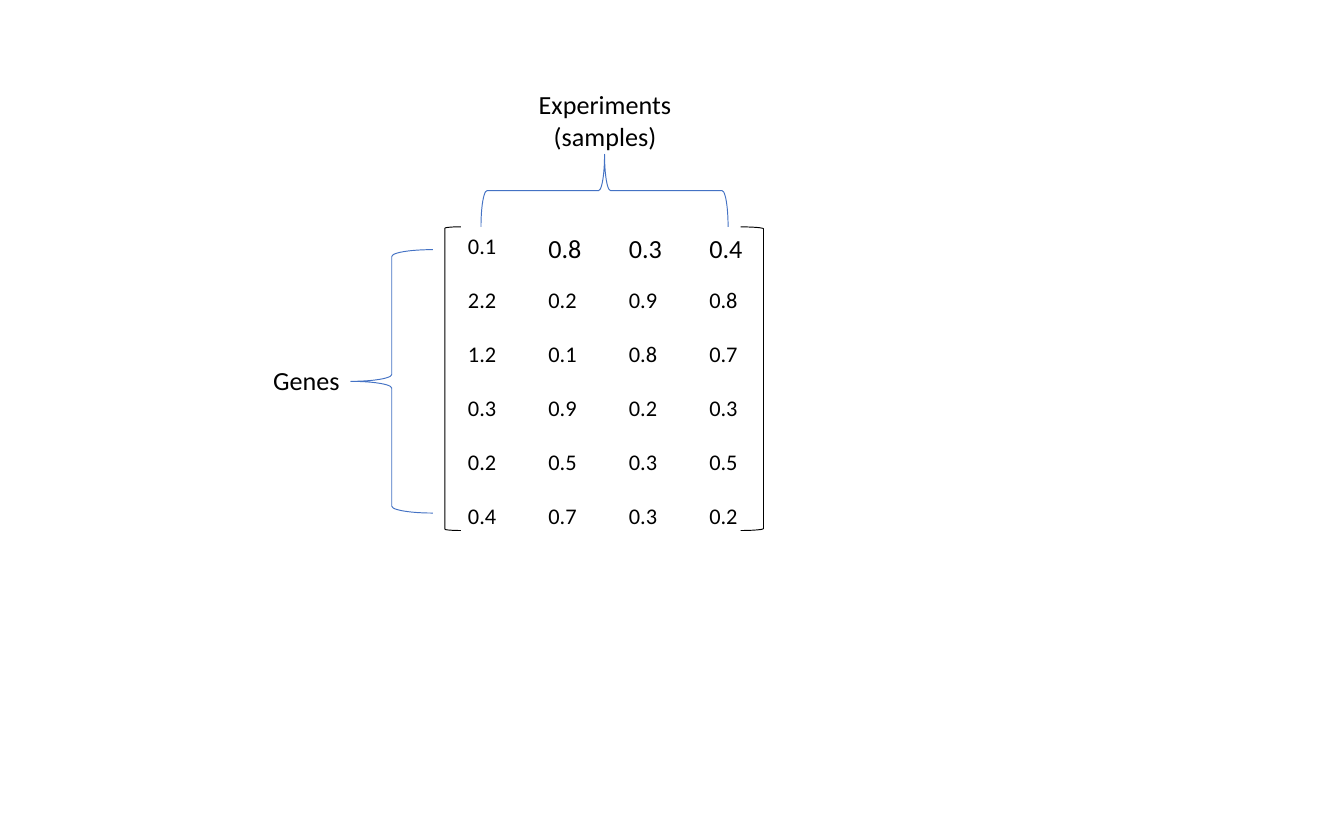
import pptx
import pptx.util
import pptx.dml.color
import pptx.enum.shapes
import pptx.enum.text

Cm = pptx.util.Cm
Pt = pptx.util.Pt
SHAPE = pptx.enum.shapes.MSO_SHAPE
CENTER = pptx.enum.text.PP_ALIGN.CENTER

BLACK, BLUE = "000000", "4472C4"
expression = [
    ["0.1", "0.8", "0.3", "0.4"],
    ["2.2", "0.2", "0.9", "0.8"],
    ["1.2", "0.1", "0.8", "0.7"],
    ["0.3", "0.9", "0.2", "0.3"],
    ["0.2", "0.5", "0.3", "0.5"],
    ["0.4", "0.7", "0.3", "0.2"],
]
large_cells = {(0, 1), (0, 2), (0, 3)}
column_width, row_height = 1.52, 1.02
enclosures = [
    (SHAPE.LEFT_BRACKET, (8.41, 4.29, 0.3, 5.74), 0, BLACK),
    (SHAPE.RIGHT_BRACKET, (14.0, 4.29, 0.43, 5.74), 0, BLACK),
    (SHAPE.LEFT_BRACE, (10.74, 1.27, 1.37, 4.67), 90, BLUE),
    (SHAPE.LEFT_BRACE, (6.63, 4.72, 1.55, 4.98), 0, BLUE),
]
axis_labels = [
    ("Genes", (4.9, 6.76, 1.78, 0.86)),
    ("Experiments\n(samples)", (9.91, 1.55, 3.05, 1.45)),
]


def color(value):
    return pptx.dml.color.RGBColor.from_string(value)


def place(box):
    return [Cm(length) for length in box]


def style(paragraph, size):
    for run in paragraph.runs:
        run.font.name = "Calibri"
        run.font.size = Pt(size)
        run.font.color.rgb = color(BLACK)


deck = pptx.Presentation()
deck.slide_width, deck.slide_height = Cm(25.4), Cm(15.88)
slide = deck.slides.add_slide(deck.slide_layouts[6])

rows, columns = len(expression), len(expression[0])
matrix_box = (8.59, 4.29, columns * column_width, rows * row_height)
matrix = slide.shapes.add_table(rows, columns, *place(matrix_box)).table
matrix.first_row = matrix.horz_banding = False
for column in matrix.columns:
    column.width = Cm(column_width)
for r, levels in enumerate(expression):
    matrix.rows[r].height = Cm(row_height)
    for c, level in enumerate(levels):
        cell = matrix.cell(r, c)
        cell.fill.background()
        cell.text_frame.text = level
        style(cell.text_frame.paragraphs[0], 14 if (r, c) in large_cells else 12)

for kind, box, rotation, line_color in enclosures:
    enclosure = slide.shapes.add_shape(kind, *place(box))
    enclosure.rotation = rotation
    enclosure.shadow.inherit = False
    enclosure.fill.background()
    enclosure.line.color.rgb = color(line_color)
    enclosure.line.width = Pt(0.5)

for wording, box in axis_labels:
    frame = slide.shapes.add_textbox(*place(box)).text_frame
    frame.word_wrap = False
    frame.auto_size = pptx.enum.text.MSO_AUTO_SIZE.SHAPE_TO_FIT_TEXT
    frame.text = wording
    for paragraph in frame.paragraphs:
        paragraph.alignment = CENTER
        style(paragraph, 14)

deck.save("out.pptx")
